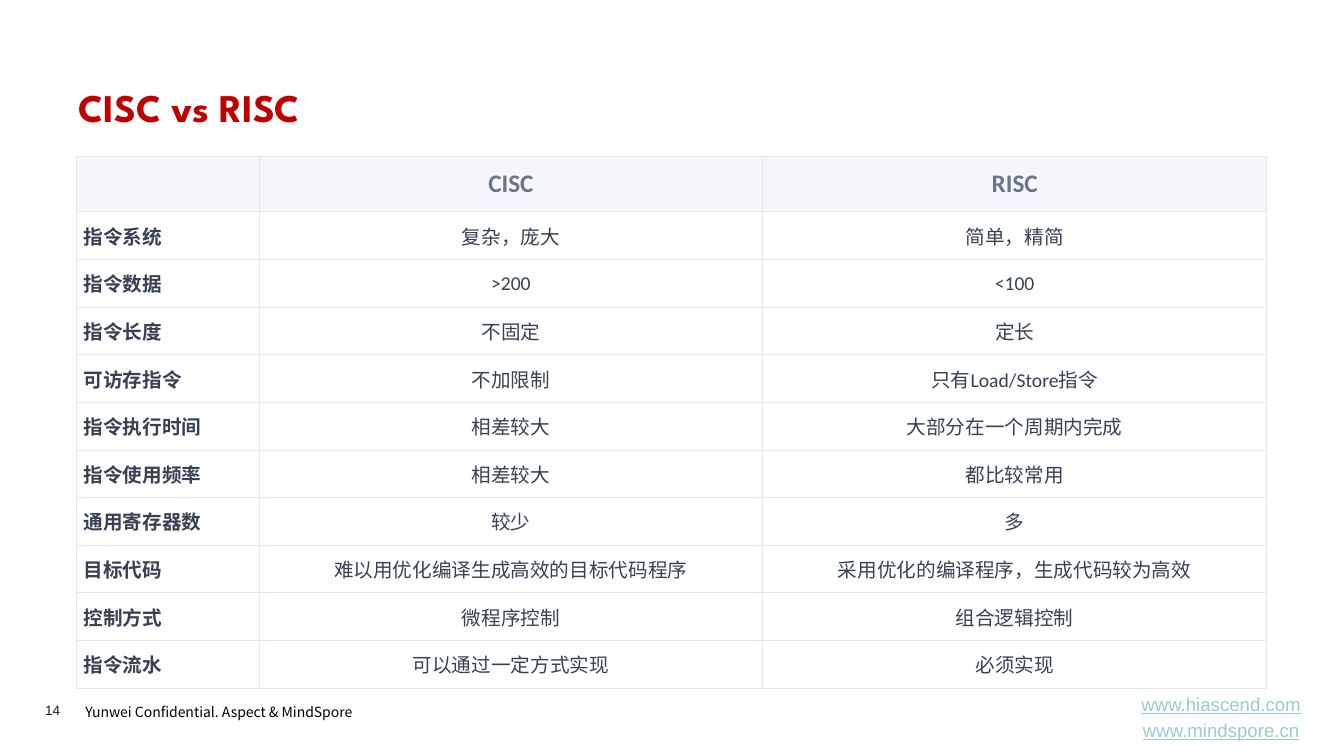
from typing import NamedTuple

from lxml.etree import SubElement as Sub
from pptx import Presentation
from pptx.dml.color import RGBColor as Rgb
from pptx.enum.text import MSO_ANCHOR as Anchor, PP_ALIGN as Align
from pptx.oxml.ns import qn
from pptx.util import Cm, Pt

HUES = {"title": "C00000", "head": "677489", "body": "374154",
        "rule": "E1E6F0", "band": "F5F7FA", "white": "FFFFFF",
        "black": "000000", "page": "1D1D1B", "link": "99CCCC"}
CJK = "Noto Sans CJK SC"


class Row(NamedTuple):
    name: str
    cisc: str
    risc: str


class Note(NamedTuple):
    lines: list
    box: tuple  # left, top, width, height in cm
    look: dict
    inset: bool = True
    anchor: Anchor = Anchor.TOP


ROWS = [
    Row("", "CISC", "RISC"),
    Row("指令系统", "复杂，庞大", "简单，精简"),
    Row("指令数据", ">200", "<100"),
    Row("指令长度", "不固定", "定长"),
    Row("可访存指令", "不加限制", "只有Load/Store指令"),
    Row("指令执行时间", "相差较大", "大部分在一个周期内完成"),
    Row("指令使用频率", "相差较大", "都比较常用"),
    Row("通用寄存器数", "较少", "多"),
    Row("目标代码", "难以用优化编译生成高效的目标代码程序", "采用优化的编译程序，生成代码较为高效"),
    Row("控制方式", "微程序控制", "组合逻辑控制"),
    Row("指令流水", "可以通过一定方式实现", "必须实现"),
]
WIDTHS = (4.6, 12.7, 12.7)

NOTES = [
    Note(["Yunwei Confidential. Aspect & MindSpore"], (1.9, 17.53, 7.95, 0.74),
         dict(size=10, font=CJK, hue="black", space=1.2)),
    Note(["14"], (1.14, 17.68, 1.4, 0.41),
         dict(size=9.7, font="Arial", hue="page"), inset=False),
    Note(["www.hiascend.com", "www.mindspore.cn"], (28.04, 17.52, 5.49, 1.09),
         dict(size=13.3, font="Arial", hue="link", align=Align.CENTER,
              under=True, gap=2.7), anchor=Anchor.MIDDLE),
]


def write(frame, lines: list, *, size: float, font: str, hue: str,
          bold: bool = False, under: bool = False, align: Align = Align.LEFT,
          space: float = 1.0, gap: float = 0) -> None:
    """Fill a text frame with evenly formatted paragraphs."""
    for i, line in enumerate(lines):
        para = frame.add_paragraph() if i else frame.paragraphs[0]
        para.alignment, para.line_spacing = align, space
        para.space_before = Pt(gap if i else 0)
        run = para.add_run()
        run.text = line
        face = run.font
        face.size, face.name, face.bold = Pt(size), font, bold
        face.underline = under
        face.color.rgb = Rgb.from_string(HUES[hue])
        Sub(face._element, qn("a:ea")).set("typeface", CJK)


def border(cell) -> None:
    """Draw a thin rule on all four sides of a cell."""
    props = cell._tc.get_or_add_tcPr()
    for side in ("lnL", "lnR", "lnT", "lnB"):
        line = Sub(props, qn(f"a:{side}"), w=str(Pt(0.75)))
        fill = Sub(line, qn("a:solidFill"))
        Sub(fill, qn("a:srgbClr"), val=HUES["rule"])


def add_note(slide, note: Note) -> None:
    frame = slide.shapes.add_textbox(*map(Cm, note.box)).text_frame
    frame.word_wrap = True
    frame.vertical_anchor = note.anchor
    if not note.inset:
        frame.margin_left = frame.margin_right = 0
        frame.margin_top = frame.margin_bottom = 0
    write(frame, note.lines, **note.look)


def add_grid(slide) -> None:
    grid = slide.shapes.add_table(len(ROWS), len(WIDTHS), Cm(1.93), Cm(3.94),
                                  Cm(sum(WIDTHS)), Cm(13.4)).table
    for col, width in zip(grid.columns, WIDTHS):
        col.width = Cm(width)
    for r, row in enumerate(ROWS):
        head = r == 0
        grid.rows[r].height = Cm(1.4 if head else 1.2)
        for c, text in enumerate(row):
            cell = grid.cell(r, c)
            border(cell)
            cell.fill.solid()
            cell.fill.fore_color.rgb = Rgb.from_string(
                HUES["band" if head else "white"])
            cell.vertical_anchor = Anchor.MIDDLE
            cell.margin_left = cell.margin_right = Cm(0.18)
            cell.margin_top = cell.margin_bottom = Cm(0.15)
            if text:
                write(cell.text_frame, [text], size=18 if head else 14,
                      font="Calibri", hue="head" if head else "body",
                      bold=head or c == 0,
                      align=Align.CENTER if c else Align.LEFT)


def main() -> None:
    deck = Presentation()
    deck.slide_width, deck.slide_height = Cm(33.88), Cm(19.05)
    slide = deck.slides.add_slide(deck.slide_layouts[5])

    # Footer
    for note in NOTES:
        add_note(slide, note)

    # Title
    title = slide.shapes.title
    title.left, title.top = Cm(1.73), Cm(1.88)
    title.width, title.height = Cm(30.45), Cm(1.63)
    title.text_frame.vertical_anchor = Anchor.MIDDLE
    write(title.text_frame, ["CISC vs RISC"], size=28, font="League Spartan",
          hue="title", bold=True)

    # Comparison table
    add_grid(slide)
    deck.save("out.pptx")


if __name__ == "__main__":
    main()
